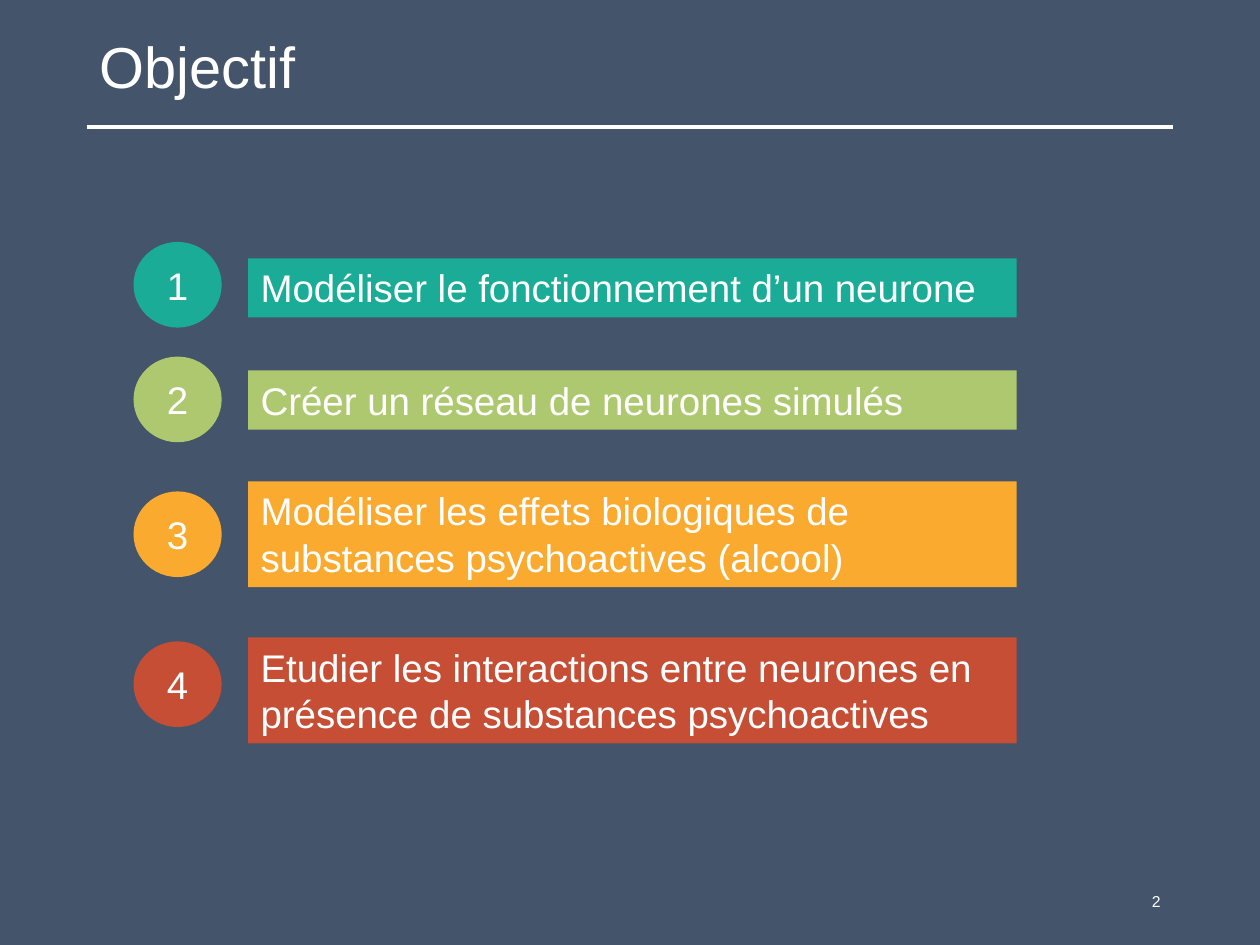
from dataclasses import dataclass

from pptx import Presentation
from pptx.dml.color import RGBColor
from pptx.enum.shapes import MSO_CONNECTOR, MSO_SHAPE
from pptx.enum.text import MSO_ANCHOR, MSO_AUTO_SIZE, PP_ALIGN
from pptx.oxml.ns import qn
from pptx.shapes.autoshape import Shape
from pptx.shapes.group import GroupShape
from pptx.slide import Slide
from pptx.text.text import TextFrame
from pptx.util import Inches, Pt
from lxml.etree import SubElement

COLORS = {
    "background": "44546A",
    "text": "FFFFFF",
    "teal": "1AAC97",
    "green": "AEC86F",
    "orange": "F9AA2F",
    "red": "C54E34",
}
FONT = "Arial"
COLUMNS, ROWS = 100, 75
CELL = Inches(10) // COLUMNS

MARGIN = 6.9
CONTENT_WIDTH = COLUMNS - 2 * MARGIN
RULE_ROW = 10.1
TITLE_TOP = 0.9
CIRCLE_LEFT, CIRCLE_WIDTH, CIRCLE_HEIGHT = 10.6, 7, 6.8
BAR_LEFT, BAR_WIDTH = 19.7, 61
BAR_PADDING, LINE_HEIGHT = 1, 3.7


@dataclass(frozen=True)
class Area:
    left: float
    top: float
    width: float
    height: float

    def emu(self) -> tuple[int, ...]:
        cells = (self.left, self.top, self.width, self.height)
        return tuple(round(value * CELL) for value in cells)


@dataclass(frozen=True)
class Objective:
    text: str
    color: str
    circle_top: float
    bar_top: float
    lines: int


OBJECTIVES = [
    Objective("Modéliser le fonctionnement d’un neurone", "teal", 19.2, 20.5, 1),
    Objective("Créer un réseau de neurones simulés", "green", 28.3, 29.4, 1),
    Objective("Modéliser les effets biologiques de substances psychoactives (alcool)",
              "orange", 39, 38.2, 2),
    Objective("Etudier les interactions entre neurones en présence de substances psychoactives",
              "red", 50.9, 50.6, 2),
]


def color(name: str) -> RGBColor:
    return RGBColor.from_string(COLORS[name])


def write(text_frame: TextFrame, text: str, size: float,
          alignment: PP_ALIGN = PP_ALIGN.LEFT,
          anchor: MSO_ANCHOR = MSO_ANCHOR.MIDDLE) -> None:
    text_frame.text = text
    text_frame.word_wrap = True
    text_frame.vertical_anchor = anchor
    paragraph = text_frame.paragraphs[0]
    paragraph.alignment = alignment
    for run in paragraph.runs:
        run.font.name = FONT
        run.font.size = Pt(size)
        run.font.color.rgb = color("text")


def add_filled_shape(group: GroupShape, kind: MSO_SHAPE, area: Area, fill: str) -> Shape:
    shape = group.shapes.add_shape(kind, *area.emu())
    shape.shadow.inherit = False
    shape.fill.solid()
    shape.fill.fore_color.rgb = color(fill)
    shape.line.fill.background()
    return shape


def add_objective(slide: Slide, number: int, objective: Objective) -> None:
    group = slide.shapes.add_group_shape()
    bar_height = BAR_PADDING + objective.lines * LINE_HEIGHT
    bar = add_filled_shape(group, MSO_SHAPE.RECTANGLE,
                           Area(BAR_LEFT, objective.bar_top, BAR_WIDTH, bar_height),
                           objective.color)
    write(bar.text_frame, objective.text, 22, anchor=MSO_ANCHOR.TOP)
    bar.text_frame.auto_size = MSO_AUTO_SIZE.SHAPE_TO_FIT_TEXT

    circle = add_filled_shape(group, MSO_SHAPE.OVAL,
                              Area(CIRCLE_LEFT, objective.circle_top,
                                   CIRCLE_WIDTH, CIRCLE_HEIGHT),
                              objective.color)
    text_frame = circle.text_frame
    text_frame.margin_left = text_frame.margin_right = Inches(0.07)
    text_frame.margin_top = text_frame.margin_bottom = Inches(0.04)
    write(text_frame, str(number), 22, PP_ALIGN.CENTER)


def add_title(slide: Slide, text: str) -> None:
    title = slide.shapes.title
    title.left, title.top, title.width, title.height = Area(
        MARGIN, TITLE_TOP, CONTENT_WIDTH, RULE_ROW - TITLE_TOP).emu()
    write(title.text_frame, text, 33)
    title.text_frame.auto_size = MSO_AUTO_SIZE.NONE
    title.text_frame.paragraphs[0].line_spacing = 0.9


def add_rule(slide: Slide) -> None:
    left, top, width, _ = Area(MARGIN, RULE_ROW, CONTENT_WIDTH, 0).emu()
    rule = slide.shapes.add_connector(MSO_CONNECTOR.STRAIGHT, left, top, left + width, top)
    rule.line.color.rgb = color("text")
    rule.line.width = Pt(2.25)
    SubElement(rule._element.spPr, qn("a:effectLst"))


def add_slide_number(slide: Slide, number: int) -> None:
    width = 22.5
    area = Area(COLUMNS - MARGIN - width, ROWS - 5.5, width, 4)
    box = slide.shapes.add_textbox(*area.emu())
    write(box.text_frame, str(number), 9, PP_ALIGN.RIGHT)


def main() -> None:
    presentation = Presentation()
    presentation.slide_width = COLUMNS * CELL
    presentation.slide_height = ROWS * CELL
    slide = presentation.slides.add_slide(presentation.slide_layouts[5])
    slide.background.fill.solid()
    slide.background.fill.fore_color.rgb = color("background")

    add_rule(slide)
    add_title(slide, "Objectif")
    for number, objective in enumerate(OBJECTIVES, start=1):
        add_objective(slide, number, objective)
    add_slide_number(slide, 2)
    presentation.save("out.pptx")


if __name__ == "__main__":
    main()
